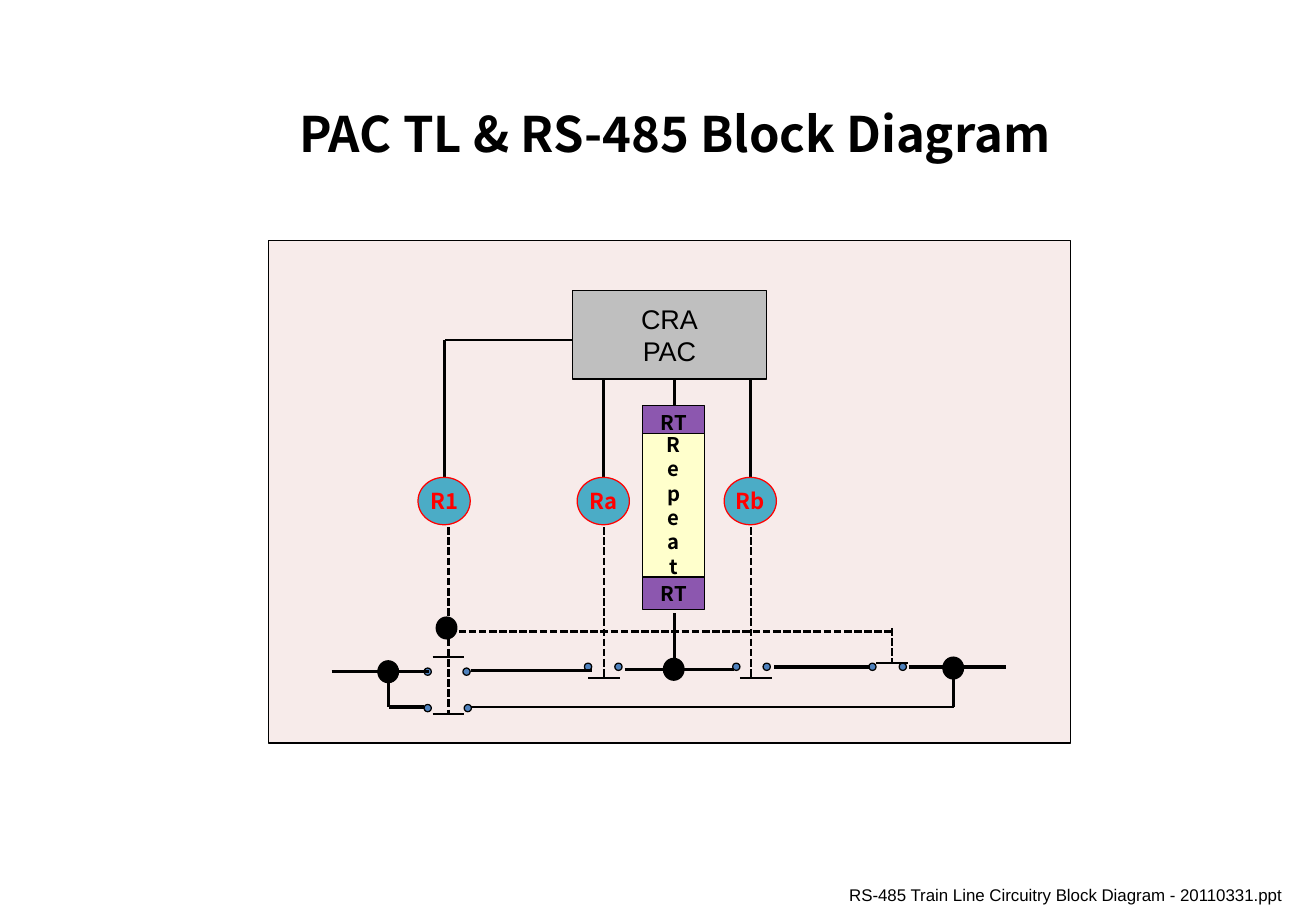
from lxml.etree import SubElement
from pptx import Presentation
from pptx.dml.color import RGBColor
from pptx.enum.dml import MSO_LINE
from pptx.enum.shapes import MSO_CONNECTOR, MSO_SHAPE
from pptx.enum.text import MSO_ANCHOR, PP_ALIGN
from pptx.oxml.ns import qn
from pptx.util import Inches, Pt

COLORS = {
    "ink": "000000",
    "panel": "D99694",
    "relay": "4BACC6",
    "relay_mark": "FF0000",
    "controller": "BFBFBF",
    "terminator": "7030A0",
    "repeater": "FFFFCC",
    "terminal": "4F81BD",
}
SANS, BOLD_FACE = "Arial", "Noto Sans CJK KR"


def rgb(name):
    """Return the named palette colour."""
    return RGBColor.from_string(COLORS[name])


def style_text(frame, size, face, bold=False, color="ink", align=PP_ALIGN.CENTER):
    """Format every run and paragraph of a text frame."""
    for paragraph in frame.paragraphs:
        paragraph.alignment = align
        for run in paragraph.runs:
            run.font.size, run.font.name, run.font.bold = Pt(size), face, bold
            run.font.color.rgb = rgb(color)


def add_block(slide, kind, box, fill, outline="ink", weight=0.75, opacity=None):
    """Draw a filled, outlined shape in the given box."""
    block = slide.shapes.add_shape(kind, *map(Inches, box))
    block.shadow.inherit = False
    block.fill.solid()
    block.fill.fore_color.rgb = rgb(fill)
    block.line.color.rgb = rgb(outline)
    block.line.width = Pt(weight)
    if opacity:
        tint = block.fill._xPr.find(qn("a:solidFill"))[0]
        SubElement(tint, qn("a:alpha"), val=str(opacity * 1000))
    return block


def add_label(block, text, size, face, bold=True, color="ink"):
    """Put centred text into a shape."""
    frame = block.text_frame
    frame.text = text
    frame.word_wrap = False
    frame.vertical_anchor = MSO_ANCHOR.MIDDLE
    style_text(frame, size, face, bold, color)


def add_wire(slide, origin, start, end, weight=1.75, dashed=False):
    """Draw a wire between two points measured from the origin."""
    left, top = origin
    ends = (left + start[0], top + start[1], left + end[0], top + end[1])
    wire = slide.shapes.add_connector(MSO_CONNECTOR.STRAIGHT, *map(Inches, ends))
    wire.line.color.rgb = rgb("ink")
    wire.line.width = Pt(weight)
    if dashed:
        wire.line.dash_style = MSO_LINE.SQUARE_DOT
    SubElement(wire._element.spPr, qn("a:effectLst"))


def add_title(slide, box):
    """Place and format the slide title."""
    title = slide.shapes.title
    title.left, title.top, title.width, title.height = map(Inches, box)
    frame = title.text_frame
    frame.text = "PAC TL & RS-485 Block Diagram"
    frame.vertical_anchor = MSO_ANCHOR.MIDDLE
    style_text(frame, 29, BOLD_FACE, True)


def add_file_name(slide, box):
    """Write the file name at the foot of the slide."""
    frame = slide.shapes.add_textbox(*map(Inches, box)).text_frame
    frame.word_wrap = True
    frame.text = "RS-485 Train Line Circuitry Block Diagram - 20110331.ppt"
    style_text(frame, 10, SANS, align=PP_ALIGN.LEFT)


def add_relays(slide, origin):
    """Draw the three relays with the wires that drive them."""
    left, top = origin
    for name, x in (("Ra", 2.76), ("R1", 1.45), ("Rb", 3.97)):
        add_wire(slide, origin, (x, 0.82), (x, 2.18))
        relay = add_block(slide, MSO_SHAPE.OVAL, (left + x - 0.22, top + 1.95, 0.43, 0.39),
                          "relay", "relay_mark")
        add_label(relay, name, 13, BOLD_FACE, color="relay_mark")
    add_wire(slide, origin, (3.89, 0.82), (1.45, 0.82), 1.5)


def add_controller(slide, origin):
    """Draw the controller and the repeater stack below it."""
    left, top = origin
    add_wire(slide, origin, (3.34, 0.53), (3.34, 1.36))
    controller = add_block(slide, MSO_SHAPE.RECTANGLE, (left + 2.5, top + 0.41, 1.6, 0.73),
                           "controller")
    add_label(controller, "CRA\nPAC", 16, SANS, False)
    stack = (
        ("RT", 1.36, 0.28, "terminator", 79),
        ("\n".join("Repeat"), 1.59, 1.18, "repeater", None),
        ("RT", 2.77, 0.27, "terminator", 79),
    )
    for text, y, height, fill, opacity in stack:
        part = add_block(slide, MSO_SHAPE.RECTANGLE, (left + 3.08, top + y, 0.51, height),
                         fill, opacity=opacity)
        add_label(part, text, 12, BOLD_FACE)


def add_contacts(slide, origin):
    """Draw the contact terminals, their bars and the dashed relay links."""
    left, top = origin
    contacts = (
        (1.28, 1.6, 3.52, 1.35, 3.43),
        (1.28, 1.61, 3.82, 1.35, 3.9),
        (2.6, 2.85, 3.48, 2.63, 3.6),
        (3.82, 4.07, 3.48, 3.88, 3.6),
        (4.94, 5.19, 3.48, 5, 3.48),
    )
    for first, second, y, bar_x, bar_y in contacts:
        for x in (first, second):
            add_block(slide, MSO_SHAPE.OVAL, (left + x, top + y, 0.06, 0.06), "terminal")
        add_wire(slide, origin, (bar_x, bar_y), (bar_x + 0.26, bar_y), 1.5)
    links = (
        ((1.48, 2.36), (1.48, 3.9)),
        ((2.76, 2.36), (2.76, 3.6)),
        ((3.97, 2.36), (3.97, 3.6)),
        ((5.13, 3.19), (5.13, 3.49)),
        ((1.48, 3.22), (5.13, 3.22)),
    )
    for start, end in links:
        add_wire(slide, origin, start, end, 1.5, True)


def add_train_line(slide, origin):
    """Draw the train line, its bypass and the junctions."""
    left, top = origin
    segments = ((0.52, 1.32, 3.55), (1.67, 2.66, 3.54), (2.93, 3.83, 3.53),
                (4.16, 4.95, 3.51), (5.27, 6.07, 3.51), (0.99, 1.28, 3.84))
    for start, end, y in segments:
        add_wire(slide, origin, (start, y), (end, y), 2)
    add_wire(slide, origin, (1.67, 3.84), (5.64, 3.84), 1.5)
    for x, start, end in ((0.99, 3.54, 3.84), (5.64, 3.54, 3.84), (3.34, 3.07, 3.54)):
        add_wire(slide, origin, (x, start), (x, end))
    for x, y in ((1.38, 3.1), (0.9, 3.46), (5.55, 3.43), (3.25, 3.44)):
        add_block(slide, MSO_SHAPE.OVAL, (left + x, top + y, 0.17, 0.18), "ink")


def add_diagram(slide, box):
    """Draw the tinted panel and the circuit inside it."""
    add_block(slide, MSO_SHAPE.RECTANGLE, box, "panel", weight=1, opacity=19)
    origin = box[:2]
    for add_part in (add_relays, add_controller, add_contacts, add_train_line):
        add_part(slide, origin)


def main():
    """Build and save the slide."""
    deck = Presentation()
    deck.slide_width, deck.slide_height = Inches(10.83), Inches(7.5)
    slide = deck.slides.add_slide(deck.slide_layouts[5])
    add_title(slide, (0.68, 0.63, 9.75, 0.93))
    add_file_name(slide, (6.89, 7.23, 3.94, 0.27))
    add_diagram(slide, (2.21, 1.98, 6.6, 4.14))
    deck.save("out.pptx")


if __name__ == "__main__":
    main()
